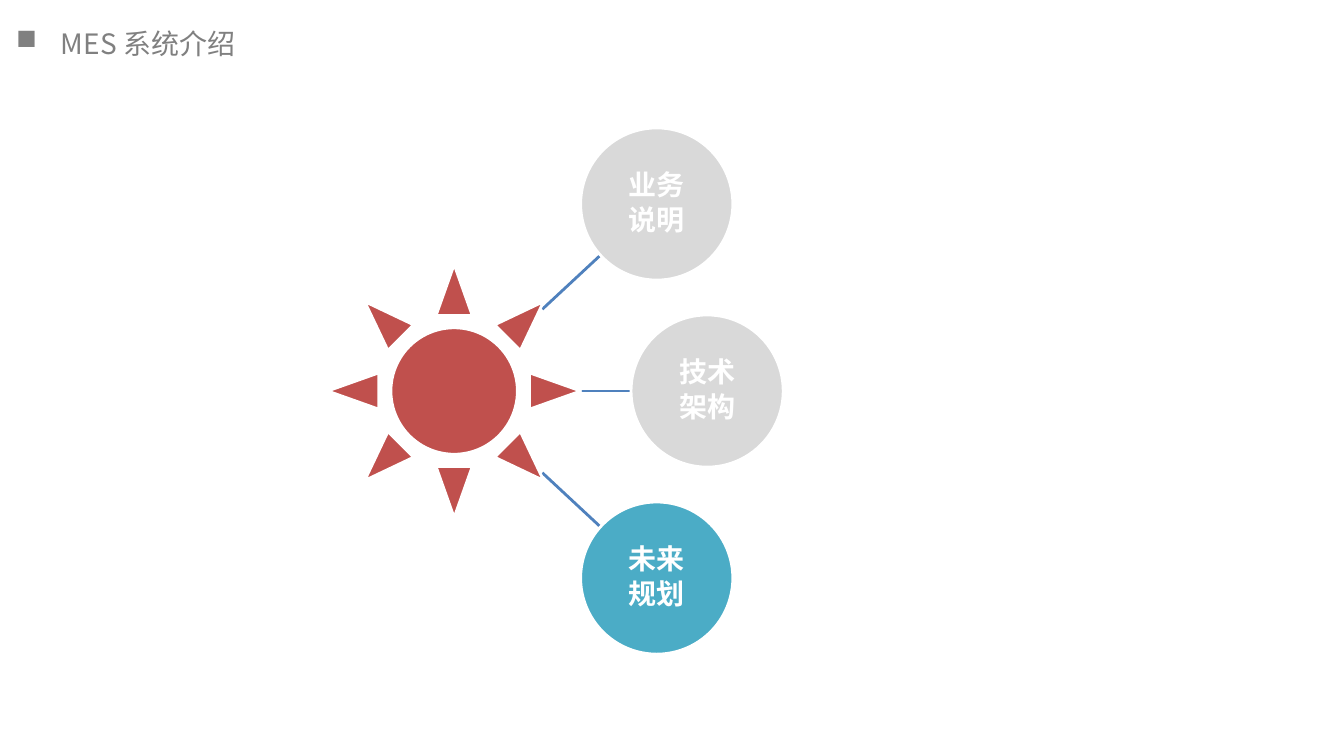
from lxml import etree
from pptx import Presentation
from pptx.dml.color import RGBColor
from pptx.enum.shapes import MSO_CONNECTOR, MSO_SHAPE
from pptx.enum.text import MSO_ANCHOR, MSO_AUTO_SIZE, PP_ALIGN
from pptx.oxml.ns import qn
from pptx.util import Pt

STRAIGHT = MSO_CONNECTOR.STRAIGHT
SUN, OVAL = MSO_SHAPE.SUN, MSO_SHAPE.OVAL
TOP, MIDDLE = MSO_ANCHOR.TOP, MSO_ANCHOR.MIDDLE
LEFT, CENTER = PP_ALIGN.LEFT, PP_ALIGN.CENTER

TITLE = "MES 系统介绍"
FONT = "Noto Sans CJK SC"
TOPICS = [
    ("业务\n说明", "D9D9D9"),
    ("技术\n架构", "D9D9D9"),
    ("未来\n规划", "4BACC6"),
]

CENTER_Y = 279.3
SUN_X, SUN_SIZE = 324.4, 180.7
CIRCLE_X, CIRCLE_SIZE = 505.1, 108.7
CIRCLE_STEP, CIRCLE_SHIFT = 133.6, 36
RAY_X, RAY_RISE = 387.4, 58.4
RAY_END_X, RAY_END_RISE = 429.1, 97.2


def rgb(value):
    return RGBColor.from_string(value)


def format_text(p, color, bold=False):
    for r in p.runs:
        r.font.name = FONT
        r.font.size = Pt(20)
        r.font.bold = bold
        r.font.color.rgb = rgb(color)
        ea = etree.SubElement(r.font._element, qn("a:ea"))
        ea.set("typeface", FONT)


def add_shape(slide, kind, x, y, size, fill):
    sp = slide.shapes.add_shape(
        kind, Pt(x - size / 2), Pt(y - size / 2), Pt(size), Pt(size))
    sp.shadow.inherit = False
    sp.fill.solid()
    sp.fill.fore_color.rgb = rgb(fill)
    sp.line.color.rgb = rgb("FFFFFF")
    sp.line.width = Pt(2)
    return sp


def add_title(slide):
    sp = slide.shapes.title
    sp.left, sp.top, sp.width, sp.height = Pt(4.3), Pt(15), Pt(647), Pt(32)
    tf = sp.text_frame
    tf.text = TITLE
    tf.word_wrap = True
    tf.auto_size = MSO_AUTO_SIZE.SHAPE_TO_FIT_TEXT
    tf.vertical_anchor = TOP
    p = tf.paragraphs[0]
    p.alignment = LEFT
    pPr = p._p.get_or_add_pPr()
    pPr.set("marL", str(Pt(32)))
    pPr.set("indent", str(-Pt(32)))
    etree.SubElement(pPr, qn("a:buChar")).set("char", "■")
    format_text(p, "808080")


def add_ray(slide, side):
    if side:
        start = RAY_X, CENTER_Y + side * RAY_RISE
        end = RAY_END_X, CENTER_Y + side * RAY_END_RISE
    else:
        start = RAY_X, CENTER_Y
        end = CIRCLE_X - CIRCLE_SIZE / 2, CENTER_Y
    line = slide.shapes.add_connector(
        STRAIGHT, *(Pt(v) for v in start + end))
    line.line.color.rgb = rgb("4F81BD")
    line.line.width = Pt(2)
    etree.SubElement(line._element.spPr, qn("a:effectLst"))


def add_topic(slide, side, text, fill):
    x = CIRCLE_X - abs(side) * CIRCLE_SHIFT
    y = CENTER_Y + side * CIRCLE_STEP
    sp = add_shape(slide, OVAL, x, y, CIRCLE_SIZE, fill)
    tf = sp.text_frame
    tf.text = text
    tf.word_wrap = True
    tf.vertical_anchor = MIDDLE
    tf.margin_left = tf.margin_right = Pt(1)
    tf.margin_top = tf.margin_bottom = Pt(1)
    for p in tf.paragraphs:
        p.alignment = CENTER
        p.line_spacing = 0.9
        p.space_after = Pt(3)
        format_text(p, "FFFFFF", bold=True)


def main():
    prs = Presentation()
    prs.slide_width, prs.slide_height = Pt(960), Pt(540)
    slide = prs.slides.add_slide(prs.slide_layouts[5])
    add_title(slide)
    for side in (1, 0, -1):
        add_ray(slide, side)
    add_shape(slide, SUN, SUN_X, CENTER_Y, SUN_SIZE, "C0504D")
    for side, (text, fill) in enumerate(TOPICS, start=-1):
        add_topic(slide, side, text, fill)
    prs.save("out.pptx")


if __name__ == "__main__":
    main()
